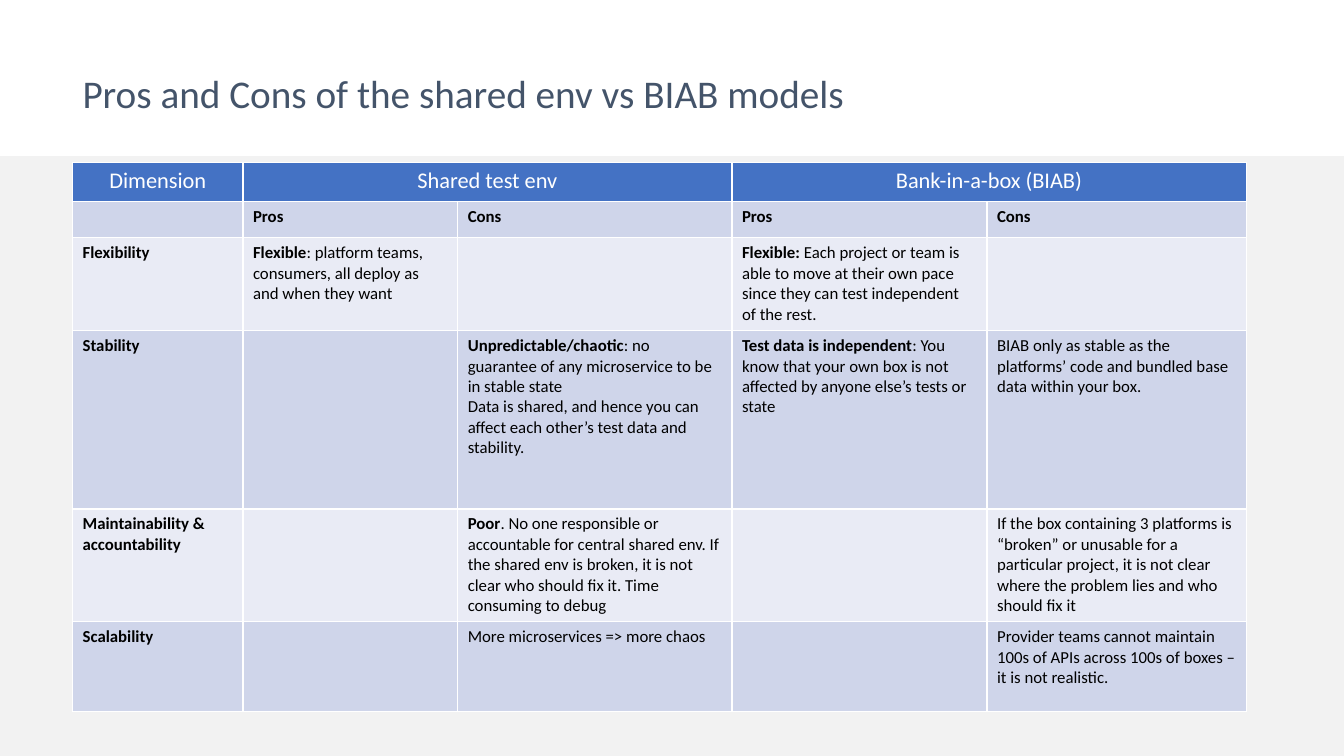
from dataclasses import dataclass

from lxml import etree
from pptx import Presentation
from pptx.dml.color import RGBColor
from pptx.enum.shapes import MSO_SHAPE
from pptx.enum.text import MSO_ANCHOR, PP_ALIGN
from pptx.oxml.ns import qn
from pptx.util import Inches, Pt

RECTANGLE = MSO_SHAPE.RECTANGLE
MIDDLE = MSO_ANCHOR.MIDDLE
CENTER = PP_ALIGN.CENTER
LEFT = PP_ALIGN.LEFT

FONT = "Calibri"
WHITE, BLACK, GREY, SLATE = "FFFFFF", "000000", "F2F2F2", "44546A"
HEADER_BLUE = "4472C4"
BANDS = ("CFD5EA", "E9EBF5")

COLUMN_WIDTHS = (1.69, 2.13, 2.72, 2.53, 2.57)
ROW_HEIGHTS = (0.39, 0.36, 0.92, 1.77, 1.12, 0.89)


@dataclass(frozen=True)
class Entry:
    lead: str = ""
    detail: str = ""
    follow_up: str = ""


EMPTY = Entry()
HEADINGS = (Entry(detail="Dimension"), Entry(detail="Shared test env"), EMPTY,
            Entry(detail="Bank-in-a-box (BIAB)"), EMPTY)
BODY = (
    (EMPTY, Entry("Pros"), Entry("Cons"), Entry("Pros"), Entry("Cons")),
    (
        Entry("Flexibility"),
        Entry("Flexible", ": platform teams, consumers, all deploy as and when they want"),
        EMPTY,
        Entry("Flexible:", " Each project or team is able to move at their own pace "
              "since they can test independent of the rest."),
        EMPTY,
    ),
    (
        Entry("Stability"),
        EMPTY,
        Entry("Unpredictable/chaotic",
              ": no guarantee of any microservice to be in stable state",
              "Data is shared, and hence you can affect each other’s test data and stability."),
        Entry("Test data is independent",
              ": You know that your own box is not affected by anyone else’s tests or state"),
        Entry(detail="BIAB only as stable as the platforms’ code and bundled base data "
              "within your box."),
    ),
    (
        Entry("Maintainability & accountability"),
        EMPTY,
        Entry("Poor", ". No one responsible or accountable for central shared env. "
              "If the shared env is broken, it is not clear who should fix it. "
              "Time consuming to debug"),
        EMPTY,
        Entry(detail="If the box containing 3 platforms is “broken” or unusable for a "
              "particular project, it is not clear where the problem lies and who should fix it"),
    ),
    (
        Entry("Scalability"),
        EMPTY,
        Entry(detail="More microservices => more chaos"),
        EMPTY,
        Entry(detail="Provider teams cannot maintain 100s of APIs across 100s of boxes – "
              "it is not realistic."),
    ),
)


def color(value: str) -> RGBColor:
    return RGBColor.from_string(value)


def format_span(span, size: float, ink: str, bold: bool = False) -> None:
    span.font.name = FONT
    span.font.size = Pt(size)
    span.font.bold = bold
    span.font.color.rgb = color(ink)


def add_borders(cell) -> None:
    properties = cell._tc.get_or_add_tcPr()
    for position, side in enumerate(("a:lnL", "a:lnR", "a:lnT", "a:lnB")):
        line = etree.Element(qn(side), w=str(Pt(1)))
        fill = etree.SubElement(line, qn("a:solidFill"))
        etree.SubElement(fill, qn("a:srgbClr"), val=WHITE)
        properties.insert(position, line)


def fill_cell(cell, entry: Entry, size: float, ink: str, fill: str, align: PP_ALIGN) -> None:
    cell.fill.solid()
    cell.fill.fore_color.rgb = color(fill)
    add_borders(cell)
    frame = cell.text_frame
    paragraphs = [(frame.paragraphs[0], entry.lead, entry.detail)]
    if entry.follow_up:
        paragraphs.append((frame.add_paragraph(), "", entry.follow_up))
    for para, lead, detail in paragraphs:
        para.alignment = align
        for text, bold in ((lead, True), (detail, False)):
            if text:
                span = para.add_run()
                span.text = text
                format_span(span, size, ink, bold)
        etree.SubElement(para._p, qn("a:endParaRPr"), sz=str(int(size * 100)))


def add_backdrop(page) -> None:
    panel = page.shapes.add_shape(RECTANGLE, Inches(0), Inches(1.55), Inches(13.33), Inches(5.95))
    panel.shadow.inherit = False
    panel.fill.solid()
    panel.fill.fore_color.rgb = color(GREY)
    panel.line.color.rgb = color(GREY)
    panel.line.width = Pt(0.5)


def add_title(page, text: str) -> None:
    box = page.shapes.add_textbox(Inches(0.72), Inches(0.36), Inches(11.89), Inches(0.89))
    frame = box.text_frame
    frame.word_wrap = True
    frame.vertical_anchor = MIDDLE
    frame.text = text
    para = frame.paragraphs[0]
    para.line_spacing = 1.5
    format_span(para.runs[0], 28, SLATE)


def add_comparison(page) -> None:
    table = page.shapes.add_table(
        len(ROW_HEIGHTS), len(COLUMN_WIDTHS), Inches(0.72), Inches(1.61),
        Inches(sum(COLUMN_WIDTHS)), Inches(sum(ROW_HEIGHTS))).table
    for column, width in zip(table.columns, COLUMN_WIDTHS):
        column.width = Inches(width)
    for row, height in zip(table.rows, ROW_HEIGHTS):
        row.height = Inches(height)
    for column_index, entry in enumerate(HEADINGS):
        fill_cell(table.cell(0, column_index), entry, 16, WHITE, HEADER_BLUE, CENTER)
    for first in (1, 3):
        table.cell(0, first).merge(table.cell(0, first + 1))
    for row_index, entries in enumerate(BODY):
        band = BANDS[row_index % 2]
        for column_index, entry in enumerate(entries):
            fill_cell(table.cell(row_index + 1, column_index), entry, 12, BLACK, band, LEFT)


def main() -> None:
    deck = Presentation()
    deck.slide_width = Inches(13.33)
    deck.slide_height = Inches(7.5)
    page = deck.slides.add_slide(deck.slide_layouts[6])
    add_backdrop(page)
    add_title(page, "Pros and Cons of the shared env vs BIAB models")
    add_comparison(page)
    deck.save("out.pptx")


if __name__ == "__main__":
    main()
